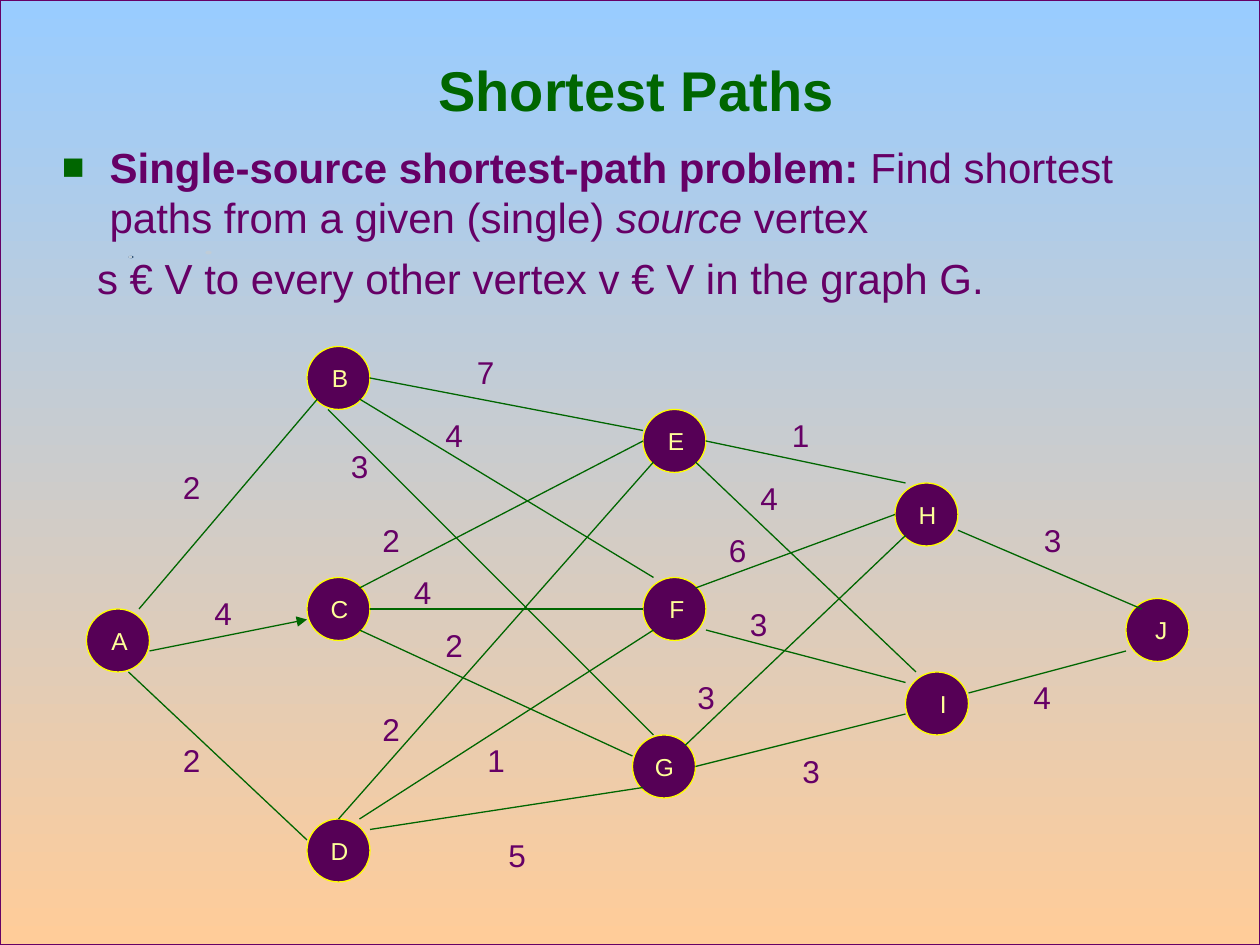
import pptx
import pptx.util
import pptx.dml.color
import pptx.enum.shapes
import pptx.enum.text
import pptx.oxml
import pptx.oxml.ns
from lxml import etree

Inches, Pt = pptx.util.Inches, pptx.util.Pt
MSO_SHAPE = pptx.enum.shapes.MSO_SHAPE
ALIGN = pptx.enum.text.PP_ALIGN
ANCHOR = pptx.enum.text.MSO_ANCHOR
qn = pptx.oxml.ns.qn


def rgb(value):
    return pptx.dml.color.RGBColor.from_string(value)


def col(n):
    """Grid column, twelve to the inch, with a small left offset."""
    return Inches(0.02 + n / 12)


def row(n):
    return Inches(n / 12)


class Deck:
    FONT = "Arial"
    GREEN, PURPLE, NODE, YELLOW, PALE = "006600", "660066", "560056", "FFFF00", "FFFF99"
    LINE = Pt(0.74)

    def __init__(self, prs):
        self.s = prs.slides.add_slide(prs.slide_layouts[1])
        self.sh = self.s.shapes

    def style(self, p, size, color, align=ALIGN.LEFT, before=0):
        p.alignment, p.space_before, p.line_spacing = align, Pt(before), 1.0
        for r in p.runs:
            r.font.name, r.font.size = self.FONT, Pt(size)
            r.font.color.rgb = rgb(color)

    def indent(self, p, left, first, bullet=None):
        pPr = p._p.get_or_add_pPr()
        pPr.set("marL", str(Inches(left)))
        pPr.set("indent", str(Inches(first)))
        if bullet:
            clr = etree.SubElement(pPr, qn("a:buClr"))
            etree.SubElement(clr, qn("a:srgbClr"), val=self.GREEN)
            etree.SubElement(pPr, qn("a:buSzPct"), val="90000")
            etree.SubElement(pPr, qn("a:buFont"), typeface=self.FONT)
            etree.SubElement(pPr, qn("a:buChar"), char=bullet)
        else:
            etree.SubElement(pPr, qn("a:buNone"))

    def shape(self, kind, x, y, w, h, fill=None, line=None):
        sp = self.sh.add_shape(kind, x, y, w, h)
        sp.shadow.inherit = False
        if fill:
            sp.fill.solid()
            sp.fill.fore_color.rgb = rgb(fill)
        if line:
            sp.line.color.rgb, sp.line.width = rgb(line), self.LINE
        else:
            sp.line.fill.background()
        return sp

    def backdrop(self, w, h, top, bottom):
        sp = self.shape(MSO_SHAPE.RECTANGLE, 0, 0, w, h, line=self.PURPLE)
        sp.fill.gradient()
        sp.fill.gradient_angle = 270
        for stop, color, pos in zip(sp.fill.gradient_stops, (top, bottom), (0, 1)):
            stop.color.rgb, stop.position = rgb(color), pos

    def speck(self, x, y, w, h, color):
        self.shape(MSO_SHAPE.OVAL, Inches(x), Inches(y), Inches(w), Inches(h), color)

    def placeholder(self, idx, x, y, w, h, anchor, bottom):
        sp = self.s.placeholders[idx]
        self.sh._spTree.append(sp._element)  # lift above the backdrop
        sp.left, sp.top, sp.width, sp.height = map(Inches, (x, y, w, h))
        tf = sp.text_frame
        tf.word_wrap, tf.auto_size = True, pptx.enum.text.MSO_AUTO_SIZE.NONE
        tf.vertical_anchor, tf.margin_top, tf.margin_bottom = anchor, 0, Inches(bottom)
        return tf

    def title(self, text):
        tf = self.placeholder(0, 0.8, 0.5, 8.5, 0.92, ANCHOR.MIDDLE, 0.5)
        tf.text = text
        p = tf.paragraphs[0]
        self.style(p, 32, self.GREEN, ALIGN.CENTER)
        p.runs[0].font.bold = True

    def body(self, parts, closing):
        tf = self.placeholder(1, 0.39, 1.12, 9.24, 1.38, ANCHOR.TOP, 0)
        p = tf.paragraphs[0]
        for text, bold, italic in parts:
            r = p.add_run()
            r.text, r.font.bold, r.font.italic = text, bold, italic
        self.style(p, 24, self.PURPLE, before=6)
        self.indent(p, 0.38, -0.38, "\u25a0")
        p = tf.add_paragraph()
        p.text = closing
        self.style(p, 24, self.PURPLE, before=6)
        self.indent(p, 0.28, 0)

    def node(self, name, c, r):
        sp = self.shape(MSO_SHAPE.OVAL, col(c), row(r), row(6), row(6), self.NODE, self.YELLOW)
        tf = sp.text_frame
        tf.text, tf.word_wrap, tf.vertical_anchor = name, False, ANCHOR.MIDDLE
        self.style(tf.paragraphs[0], 14, self.PALE, ALIGN.RIGHT, 3.5)
        self.indent(tf.paragraphs[0], 0.31, -0.31)

    def edge(self, start, end, arrow=False):
        cx = self.sh.add_connector(pptx.enum.shapes.MSO_CONNECTOR.STRAIGHT,
                                   col(start[0]), row(start[1]), col(end[0]), row(end[1]))
        cx.line.color.rgb, cx.line.width = rgb(self.GREEN), self.LINE
        if arrow:
            etree.SubElement(cx.line._get_or_add_ln(), qn("a:tailEnd"), type="triangle")
        etree.SubElement(cx._element.spPr, qn("a:effectLst"))

    def weight(self, value, c, r):
        tf = self.sh.add_textbox(col(c), row(r), row(4), row(5)).text_frame
        tf.text, tf.word_wrap = str(value), True
        self.style(tf.paragraphs[0], 18, self.PURPLE, before=4.5)


prs = pptx.Presentation()
prs.slide_width, prs.slide_height = Inches(10), Inches(7.5)
deck = Deck(prs)

# Background
deck.backdrop(prs.slide_width, prs.slide_height, "99CCFF", "FFCC99")
deck.speck(1.02, 2.03, 0.04, 0.02, "284C70")
deck.speck(1.02, 2.03, 0.03, 0.02, "BFCCD8")
deck.speck(1.63, 1.99, 0.05, 0.03, "BFCCD8")

# Title and problem statement
deck.title("Shortest Paths")
deck.body([("Single-source shortest-path problem: ", True, False),
           ("Find shortest paths from a given (single) ", False, False),
           ("source ", False, True),
           ("vertex", False, False)],
          "s \u20ac V to every other vertex v \u20ac V in the graph G.")

# Graph vertices: column and row of the top left corner
NODES = {"A": (8, 58), "B": (29, 33), "C": (29, 55), "D": (29, 78), "E": (61, 39),
         "F": (61, 55), "G": (60, 70), "H": (85, 46), "I": (86, 64), "J": (107, 57)}
for name, place in NODES.items():
    deck.node(name, *place)

# Graph edges: ends, weight, place of the weight
EDGES = {
    "AB": ((13, 58), (30, 38), 2, (16, 44)),
    "AC": ((14, 62), (29, 59), 4, (19, 56)),
    "AD": ((12, 64), (29, 80), 2, (16, 70)),
    "BE": ((35, 36), (61, 41), 7, (44, 33)),
    "BF": ((34, 38), (62, 55), 4, (41, 39)),
    "BG": ((31, 39), (62, 70), 3, (32, 42)),
    "CE": ((34, 56), (61, 42), 2, (35, 49)),
    "CF": ((35, 58), (61, 58), 4, (38, 54)),
    "CG": ((34, 60), (60, 72), 2, (41, 59)),
    "DE": ((32, 78), (62, 44), 2, (35, 67)),
    "DF": ((34, 78), (62, 60), 1, (45, 70)),
    "DG": ((35, 79), (61, 75), 5, (47, 79)),
    "EH": ((67, 42), (86, 46), 1, (74, 39)),
    "EI": ((66, 44), (87, 64), 4, (71, 45)),
    "FH": ((66, 56), (85, 49), 6, (68, 50)),
    "FI": ((67, 60), (86, 65), 3, (70, 57)),
    "GH": ((65, 71), (86, 51), 3, (65, 64)),
    "GI": ((66, 73), (86, 68), 3, (75, 71)),
    "HJ": ((91, 50.5), (108.5, 58), 3, (98, 49)),
    "IJ": ((92, 66), (107, 62), 4, (97, 64)),
}
for name, (start, end, value, place) in EDGES.items():
    deck.edge(start, end, arrow=name == "AC")
    deck.weight(value, *place)

prs.save("out.pptx")
